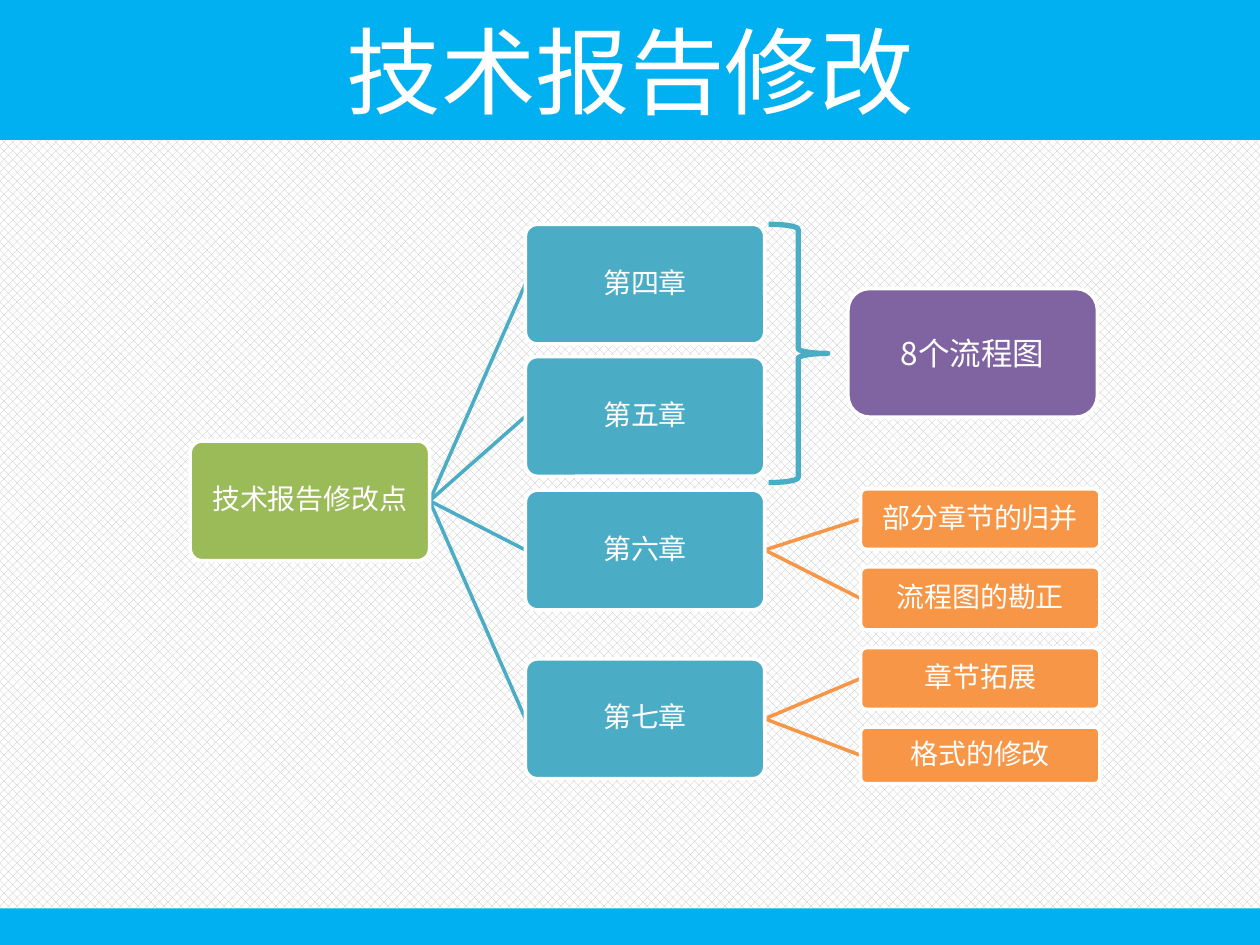
from pptx import Presentation
from pptx.dml.color import RGBColor as RGB
from pptx.enum.dml import MSO_PATTERN as PATTERN
from pptx.enum.shapes import MSO_CONNECTOR as LINK, MSO_SHAPE as SHAPE
from pptx.enum.text import MSO_ANCHOR as ANCHOR, PP_ALIGN as ALIGN
from pptx.oxml.ns import qn
from pptx.util import Inches, Pt
from lxml.etree import SubElement as Sub


def paint(item, color):
    if hasattr(item, "solid"):
        item.solid()
        item = item.fore_color
    elif hasattr(item, "color"):
        item = item.color
    item.rgb = RGB.from_string(color)


def style(shape, text, size, face, fill, edge, width):
    paint(shape.fill, fill)
    paint(shape.line, edge)
    shape.line.width = Pt(width)
    shape.shadow.inherit = False
    frame = shape.text_frame
    frame.text = text
    frame.word_wrap = True
    frame.vertical_anchor = ANCHOR.MIDDLE
    para = frame.paragraphs[0]
    para.alignment = ALIGN.CENTER
    for run in para.runs:
        run.font.size = Pt(size)
        run.font.name = face
        paint(run.font, WHITE)
        Sub(run.font._element, qn("a:ea"), typeface=face)


WHITE, SKY, GREEN, TEAL = "FFFFFF", "00B0F0", "9BBB59", "4BACC6"
ORANGE, PURPLE = "F79646", "8064A2"
FACE = "Noto Sans CJK SC"

deck = Presentation()
deck.slide_width, deck.slide_height = Inches(10), Inches(7.5)
wide, high = deck.slide_width, deck.slide_height
slide = deck.slides.add_slide(deck.slide_layouts[5])
shapes = slide.shapes

back = slide.background.fill
back.patterned()
back.pattern = PATTERN.PERCENT_50
paint(back.fore_color, "BFBFBF")
paint(back.back_color, WHITE)

title = shapes.title
title.left, title.top, title.width, title.height = 0, 0, wide, Inches(1.1)
style(title, "技术报告修改", 54, "Noto Sans CJK JP", SKY, SKY, 1.5)

foot = shapes.add_shape(SHAPE.RECTANGLE, 0, Inches(7.21), wide, high - Inches(7.21))
paint(foot.fill, SKY)
foot.line.fill.background()
foot.shadow.inherit = False

cols = [1.51, 4.17, 6.83]
cell, tall = 1.9, 0.95
nodes = [
    ("技术报告修改点", 0, 3.5, tall, GREEN, None),
    ("第四章", 1, 1.78, tall, TEAL, 0),
    ("第五章", 1, 2.83, tall, TEAL, 0),
    ("第六章", 1, 3.89, tall, TEAL, 0),
    ("第七章", 1, 5.23, tall, TEAL, 0),
    ("部分章节的归并", 2, 3.88, 0.48, ORANGE, 3),
    ("流程图的勘正", 2, 4.5, 0.5, ORANGE, 3),
    ("章节拓展", 2, 5.14, 0.49, ORANGE, 4),
    ("格式的修改", 2, 5.77, 0.45, ORANGE, 4),
]

for text, col, top, size, color, root in nodes:
    if root is not None:
        _, from_col, from_top, from_size, _, _ = nodes[root]
        line = shapes.add_connector(
            LINK.STRAIGHT,
            Inches(cols[from_col] + cell), Inches(from_top + from_size / 2),
            Inches(cols[col]), Inches(top + size / 2))
        paint(line.line, color)
        line.line.width = Pt(2)
        Sub(line._element.spPr, qn("a:effectLst"))

for text, col, top, size, color, root in nodes:
    box = shapes.add_shape(SHAPE.ROUNDED_RECTANGLE, Inches(cols[col]),
                           Inches(top), Inches(cell), Inches(size))
    box.adjustments[0] = 0.1
    style(box, text, 16, FACE, color, WHITE, 2)
    frame = box.text_frame
    frame.margin_left = frame.margin_right = Inches(0.04)
    frame.margin_top = frame.margin_bottom = Inches(0.04)
    frame.paragraphs[0].line_spacing = 0.9

brace = shapes.add_shape(SHAPE.RIGHT_BRACE, Inches(6.1), Inches(1.78),
                         Inches(0.47), Inches(2.05))
brace.fill.background()
paint(brace.line, TEAL)
brace.line.width = Pt(3)
brace.shadow.inherit = False

note = shapes.add_shape(SHAPE.ROUNDED_RECTANGLE, Inches(6.73), Inches(2.29),
                        Inches(1.98), Inches(1.02))
style(note, "8个流程图", 18, FACE, PURPLE, WHITE, 2)

deck.save("out.pptx")
